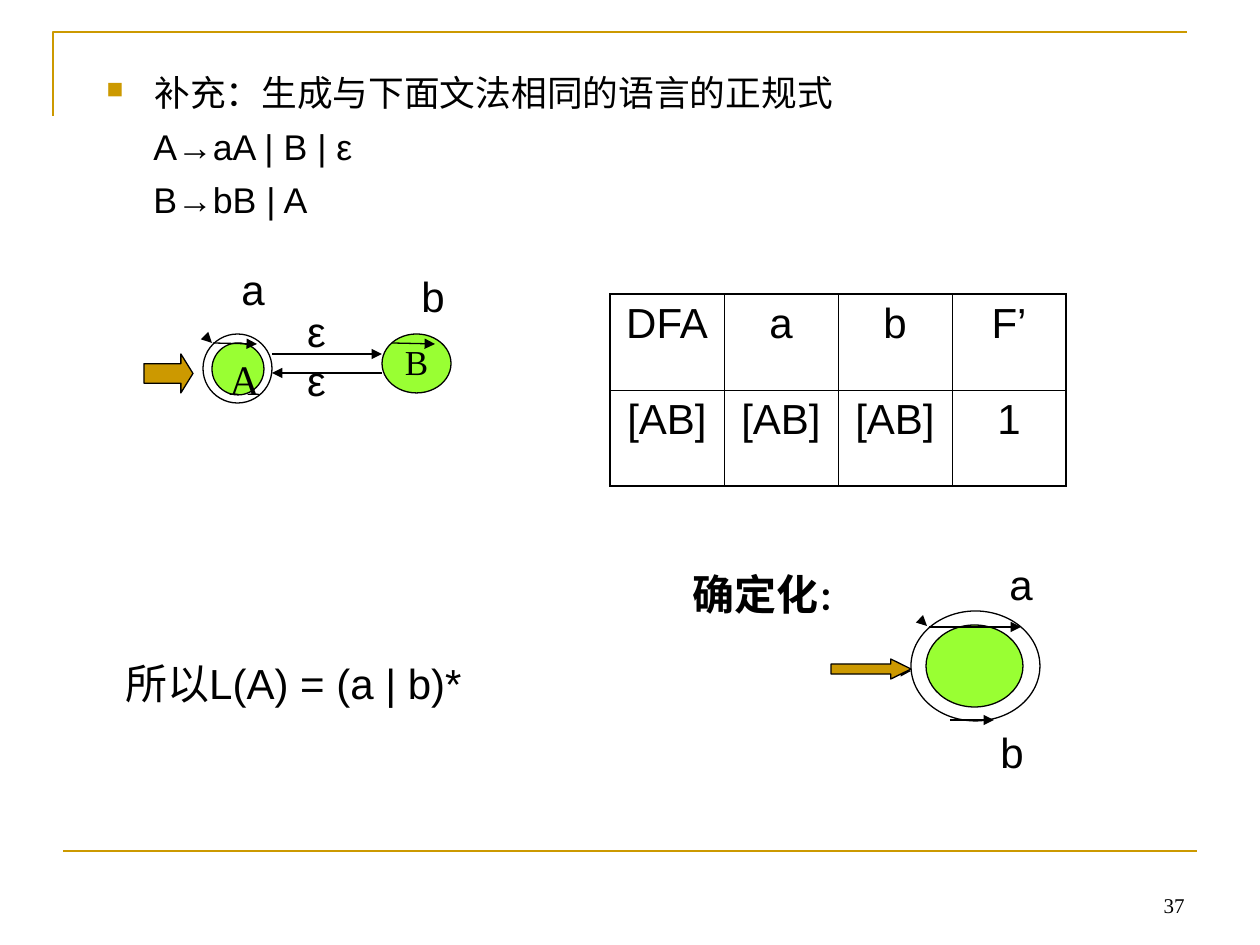
from lxml.etree import SubElement
from pptx import Presentation
from pptx.dml.color import RGBColor
from pptx.enum.shapes import MSO_CONNECTOR, MSO_SHAPE
from pptx.enum.text import MSO_ANCHOR, PP_ALIGN
from pptx.oxml.ns import qn
from pptx.util import Emu, Pt

INK = {"black": "000000", "white": "FFFFFF", "gold": "CC9900", "green": "99FF33"}
SERIF = "Times New Roman"


def px(*nums):
    """Turn pixel lengths into EMU."""
    return [Emu(round(n * 914400 / 126)) for n in nums]


def hue(name):
    """Look up a colour by name."""
    return RGBColor.from_string(INK[name])


def pen(line, color="black", width=0.75):
    """Set colour and width of a line."""
    line.color.rgb = hue(color)
    line.width = Pt(width)


def write(para, text, size, font="Arial", bold=False):
    """Add one run to a paragraph."""
    run = para.add_run()
    run.text = text
    run.font.size = Pt(size)
    run.font.name = font
    run.font.bold = bold
    run.font.color.rgb = hue("black")


def label(slide, box, text, size=24, font="Arial", wrap=False, align=PP_ALIGN.CENTER):
    """Add a one-line text box and return its paragraph."""
    frame = slide.shapes.add_textbox(*px(*box)).text_frame
    frame.word_wrap = wrap
    para = frame.paragraphs[0]
    para.alignment = align
    if text:
        write(para, text, size, font)
    return para


def epsilon(slide, top):
    """Add the label of an empty move."""
    para = label(slide, (232, top, 106, 58), "ε")
    para.level = 1
    para.line_spacing = 0.9
    para.space_before = Pt(6)
    para._p.get_or_add_pPr().set("marL", str(px(63)[0]))


def shape(slide, kind, box, fill):
    """Add a filled, outlined preset shape."""
    item = slide.shapes.add_shape(kind, *px(*box))
    item.shadow.inherit = False
    item.fill.solid()
    item.fill.fore_color.rgb = hue(fill)
    pen(item.line)
    return item


def block(slide, box, head):
    """Add a gold block arrow."""
    item = shape(slide, MSO_SHAPE.RIGHT_ARROW, box, "gold")
    item.adjustments[1] = head


def line(slide, ends, color="black", width=0.75):
    """Add a straight connector without shadow."""
    item = slide.shapes.add_connector(MSO_CONNECTOR.STRAIGHT, *px(*ends))
    pen(item.line, color, width)
    SubElement(item._element.spPr, qn("a:effectLst"))
    return item


def arrow(slide, *ends):
    """Add a thin line with a triangle at its end."""
    item = line(slide, ends)
    SubElement(item.line._get_or_add_ln(), qn("a:tailEnd"), type="triangle")


def frame(slide):
    """Draw the gold rules and the page number."""
    path = slide.shapes.build_freeform(*px(53, 116))
    path.add_line_segments([px(53, 32), px(1187, 32)], close=False)
    rule = path.convert_to_shape()
    rule.shadow.inherit = False
    rule.fill.background()
    pen(rule.line, "gold", 1.5)
    line(slide, (63, 851, 1197, 851), "gold", 1.5)
    para = label(slide, (903, 861, 294, 63), "37", 12, SERIF, True, PP_ALIGN.RIGHT)
    para._parent.vertical_anchor = MSO_ANCHOR.BOTTOM


def grammar(slide):
    """Write the bulleted question and its rules."""
    box = slide.shapes.add_textbox(*px(94, 65, 1121, 159)).text_frame
    box.word_wrap = True
    rows = ("补充：生成与下面文法相同的语言的正规式", "A→aA | B | ε", "B→bB | A")
    for i, row in enumerate(rows):
        para = box.add_paragraph() if i else box.paragraphs[0]
        para.space_before = Pt(6)
        para.level = 1 if i else 0
        left, hang = px(92, -45) if i else px(48, -48)
        props = para._p.get_or_add_pPr()
        props.set("marL", str(left))
        props.set("indent", str(hang))
        if i == 0:
            tint = SubElement(props, qn("a:buClr"))
            SubElement(tint, qn("a:srgbClr"), val=INK["gold"])
            SubElement(props, qn("a:buSzPct"), val="65000")
            SubElement(props, qn("a:buChar"), char="■")
        write(para, row, 20.4)


def edge(cell, side, width):
    """Draw one border of a cell."""
    ln = SubElement(cell._tc.get_or_add_tcPr(), qn(f"a:ln{side}"), w=str(Pt(width)))
    fill = SubElement(ln, qn("a:solidFill"))
    SubElement(fill, qn("a:srgbClr"), val=INK["black"])


def table(slide):
    """Build the table of DFA moves."""
    data = (("DFA", "a", "b", "F’"), ("[AB]", "[AB]", "[AB]", "1"))
    grid = slide.shapes.add_table(2, 4, *px(610, 294, 456, 192)).table
    grid.first_row = grid.horz_banding = False
    for r, row in enumerate(data):
        for c, text in enumerate(row):
            cell = grid.cell(r, c)
            outer = {"L": c == 0, "R": c == 3, "T": r == 0, "B": r == 1}
            for side, thick in outer.items():
                edge(cell, side, 1.08 if thick else 0.45)
            cell.fill.background()
            para = cell.text_frame.paragraphs[0]
            para.alignment = PP_ALIGN.CENTER
            para.space_before = Pt(6)
            write(para, text, 24)


def nfa(slide):
    """Draw the automaton with states A and B."""
    oval = MSO_SHAPE.OVAL
    shape(slide, oval, (382, 334, 69, 59), "green")
    label(slide, (382, 334, 69, 59), "B", 20, SERIF, True)
    shape(slide, oval, (203, 334, 69, 69), "white")
    shape(slide, oval, (212, 343, 52, 52), "green")
    label(slide, (217, 347, 52, 52), "A", 24, SERIF, True)
    arrow(slide, 211, 342, 212, 343)
    arrow(slide, 272, 354, 382, 354)
    arrow(slide, 382, 373, 272, 373)
    arrow(slide, 213, 343, 257, 344)
    arrow(slide, 392, 343, 435, 344)
    label(slide, (229, 257, 48, 63), "a")
    label(slide, (409, 264, 48, 63), "b")
    epsilon(slide, 354)
    epsilon(slide, 305)
    block(slide, (144, 354, 49, 39), 0.31)


def dfa(slide):
    """Draw the single-state automaton."""
    oval = MSO_SHAPE.OVAL
    shape(slide, oval, (911, 611, 129, 110), "white")
    shape(slide, oval, (926, 625, 97, 82), "green")
    arrow(slide, 926, 625, 927, 626)
    arrow(slide, 881, 672, 911, 671)
    arrow(slide, 929, 627, 1021, 627)
    arrow(slide, 950, 720, 994, 720)
    label(slide, (997, 552, 48, 63), "a")
    label(slide, (988, 720, 48, 63), "b")
    para = label(slide, (680, 562, 183, 63), "")
    write(para, "确定化", 24, bold=True)
    write(para, "：", 18, bold=True)
    block(slide, (831, 659, 80, 20), 1.01)


def main():
    """Build the slide and save it."""
    deck = Presentation()
    deck.slide_width, deck.slide_height = px(1260, 945)
    slide = deck.slides.add_slide(deck.slide_layouts[6])
    frame(slide)
    grammar(slide)
    table(slide)
    label(slide, (105, 651, 377, 63), "所以L(A) = (a | b)*", wrap=True)
    nfa(slide)
    dfa(slide)
    deck.save("out.pptx")


if __name__ == "__main__":
    main()
